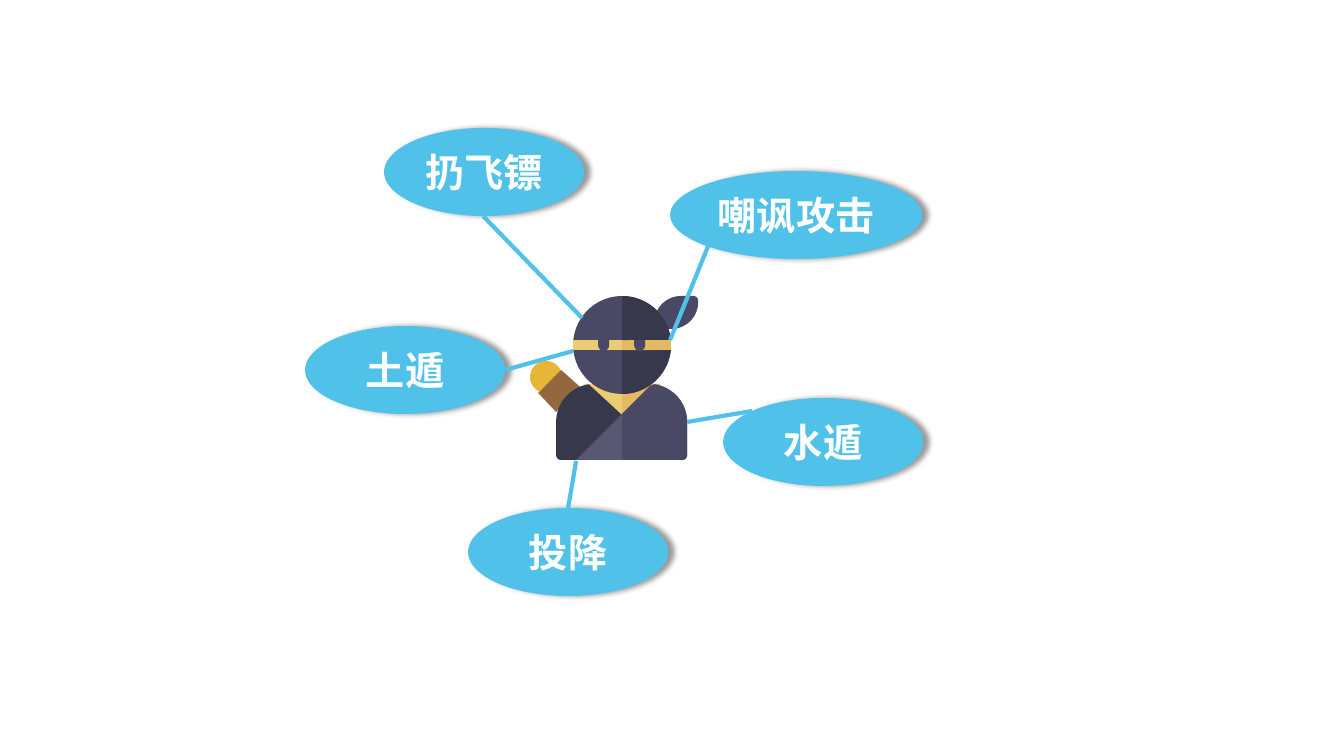
from math import cos, radians, sin

from lxml import etree
from pptx import Presentation
from pptx.dml.color import RGBColor
from pptx.enum.shapes import MSO_CONNECTOR, MSO_SHAPE
from pptx.enum.text import MSO_ANCHOR, PP_ALIGN
from pptx.oxml.ns import qn
from pptx.util import Emu, Inches, Pt

OVAL = MSO_SHAPE.OVAL
ROUNDED = MSO_SHAPE.ROUNDED_RECTANGLE
STRAIGHT = MSO_CONNECTOR.STRAIGHT
MIDDLE = MSO_ANCHOR.MIDDLE
CENTER = PP_ALIGN.CENTER

PIXELS_PER_INCH = 100.8
FONT = "Noto Sans CJK JP"
SKY, WHITE = "50C1E9", "FFFFFF"
CLOTH, DARK_CLOTH, FOLD = "494965", "38384D", "575771"
SKIN, DARK_SKIN = "ECCC71", "E3B962"
GOLD, LEATHER = "E7B636", "95673F"

SKILL_HEIGHT = 88
SKILLS = [
    ("扔飞镖", 384, 128, 200),
    ("嘲讽攻击", 670, 171, 252),
    ("土遁", 305, 326, 200),
    ("水遁", 723, 398, 200),
    ("投降", 468, 508, 200),
]
LINKS = [
    ((483, 216), (582, 318)),
    ((505, 370), (573, 351)),
    ((568, 508), (576, 461)),
    ((708, 246), (670, 340)),
    ((752, 411), (687, 422)),
]


def px(length):
    return Emu(round(length * Inches(1) / PIXELS_PER_INCH))


def color(code):
    return RGBColor.from_string(code)


def paint(shape, fill):
    shape.shadow.inherit = False
    shape.fill.solid()
    shape.fill.fore_color.rgb = color(fill)
    shape.line.fill.background()


def arc(x, y, radius, start, end, steps=24):
    angles = [radians(start + (end - start) * i / steps) for i in range(steps + 1)]
    return [(x + radius * cos(angle), y + radius * sin(angle)) for angle in angles]


def add_outline(shapes, points, fill):
    corners = [(px(x), px(y)) for x, y in points]
    builder = shapes.build_freeform(*corners[0])
    builder.add_line_segments(corners[1:])
    paint(builder.convert_to_shape(), fill)


def add_preset(shapes, kind, left, top, width, height, fill):
    shape = shapes.add_shape(kind, px(left), px(top), px(width), px(height))
    paint(shape, fill)
    return shape


def add_shadow(shape):
    effects = shape._element.spPr.find(qn("a:effectLst"))
    shadow = etree.SubElement(effects, qn("a:outerShdw"), blurRad=str(Pt(4)),
                              dist=str(Pt(4)), dir="0", algn="l", rotWithShape="0")
    black = etree.SubElement(shadow, qn("a:srgbClr"), val="000000")
    etree.SubElement(black, qn("a:alpha"), val="40000")


def write_text(shape, text, size, ink, bold=False):
    frame = shape.text_frame
    frame.word_wrap = True
    frame.vertical_anchor = MIDDLE
    frame.margin_left = frame.margin_right = 0
    para = frame.paragraphs[0]
    para.alignment = CENTER
    span = para.add_run()
    span.text = text
    span.font.size = Pt(size)
    span.font.bold = bold
    span.font.name = FONT
    span.font.color.rgb = color(ink)
    etree.SubElement(span.font._element, qn("a:ea"), typeface=FONT)


def add_skill(page, text, left, top, width):
    oval = add_preset(page.shapes, OVAL, left, top, width, SKILL_HEIGHT, SKY)
    add_shadow(oval)
    write_text(oval, text, size=28, ink=WHITE, bold=True)


def add_link(page, start, end):
    link = page.shapes.add_connector(STRAIGHT, *map(px, start + end))
    link.line.color.rgb = color(SKY)
    link.line.width = Pt(3)
    etree.SubElement(link._element.spPr, qn("a:effectLst"))


def add_ninja(page):
    shapes = page.shapes.add_group_shape().shapes
    middle, center, radius = 622, 345, 49
    left_shoulder = arc(594, 422, 38, 180, 262)
    right_side = arc(649, 422, 38, 278, 360) + arc(682, 455, 5, 0, 90)
    ponytail = (arc(681, 323, 27, 180, 270) + arc(693, 301, 5, 270, 360)
                + arc(671, 302, 27, 0, 90) + arc(660, 324, 5, 90, 180))
    outlines = [
        (arc(546, 377, 16, 115, 340), GOLD),
        ([(538, 393), (561, 370), (580, 387), (556, 412)], LEATHER),
        ([(584, 384), (660, 384), (middle, 428)], SKIN),
        ([(middle, 384), (660, 384), (middle, 428)], DARK_SKIN),
        (left_shoulder + [(625, 418), (625, 426), (592, 460)]
         + arc(561, 455, 5, 90, 180), DARK_CLOTH),
        ([(576, 460), (650, 386)] + right_side, FOLD),
        ([(middle, 460), (middle, 414), (650, 386)] + right_side, CLOTH),
        ([(573, 338), (671, 338), (671, 353), (573, 353)], SKIN),
        ([(middle, 338), (671, 338), (671, 353), (middle, 353)], DARK_SKIN),
        (arc(middle, center, radius, 6, 174), CLOTH),
        ([(middle, 351)] + arc(middle, center, radius, 6, 90), DARK_CLOTH),
    ]
    for points, fill in outlines:
        add_outline(shapes, points, fill)
    for left in (598, 634):
        eye = add_preset(shapes, ROUNDED, left, 329, 11, 22, CLOTH)
        eye.adjustments[0] = 0.5
    add_outline(shapes, ponytail, CLOTH)
    add_outline(shapes, arc(middle, center, radius, 186, 354), CLOTH)
    add_outline(shapes, [(middle, 340)] + arc(middle, center, radius, 270, 354),
                DARK_CLOTH)


def main():
    deck = Presentation()
    deck.slide_width, deck.slide_height = Inches(13.33), Inches(7.5)
    page = deck.slides.add_slide(deck.slide_layouts[6])
    add_ninja(page)
    for skill in SKILLS:
        add_skill(page, *skill)
    for start, end in LINKS:
        add_link(page, start, end)
    deck.save("out.pptx")


main()
